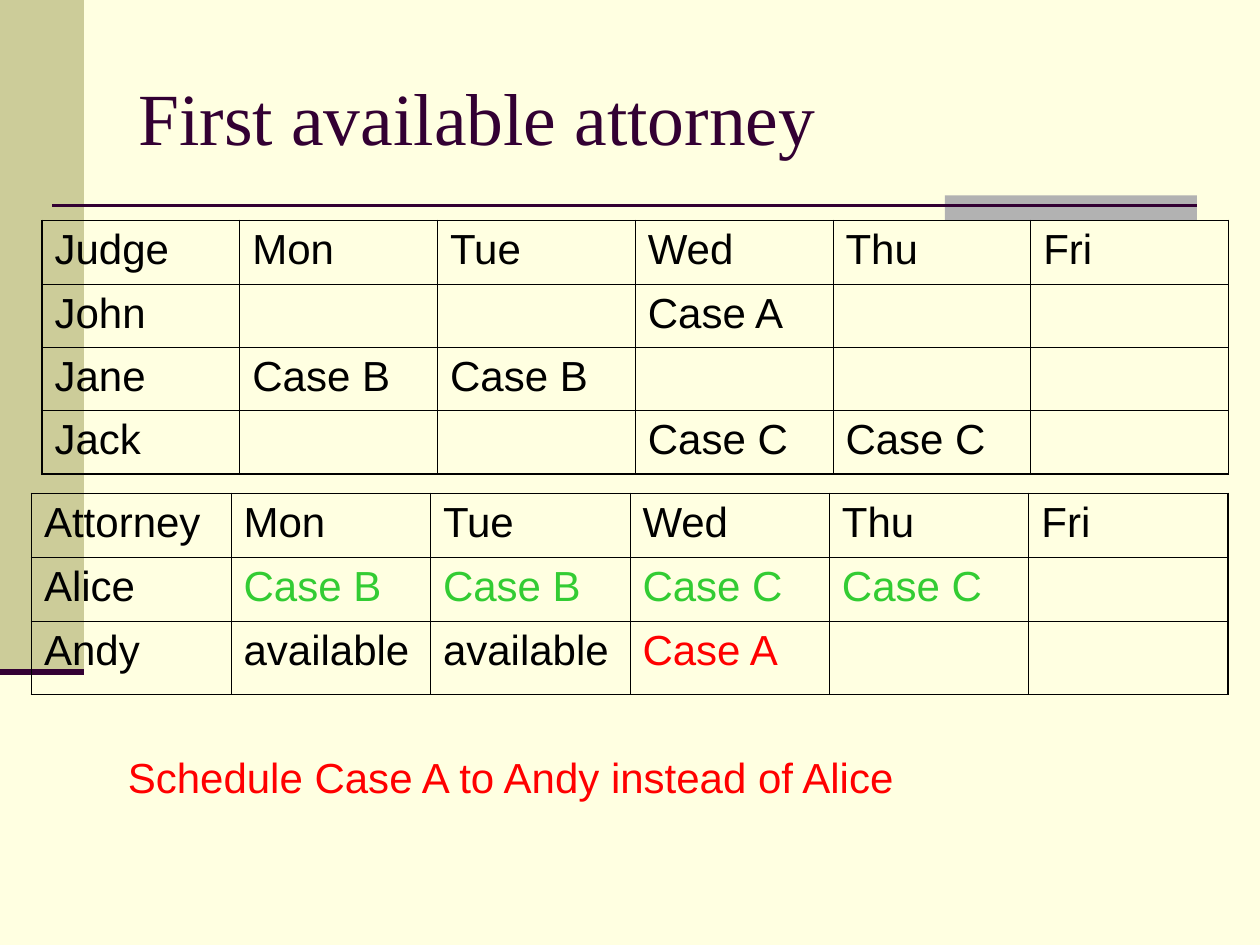
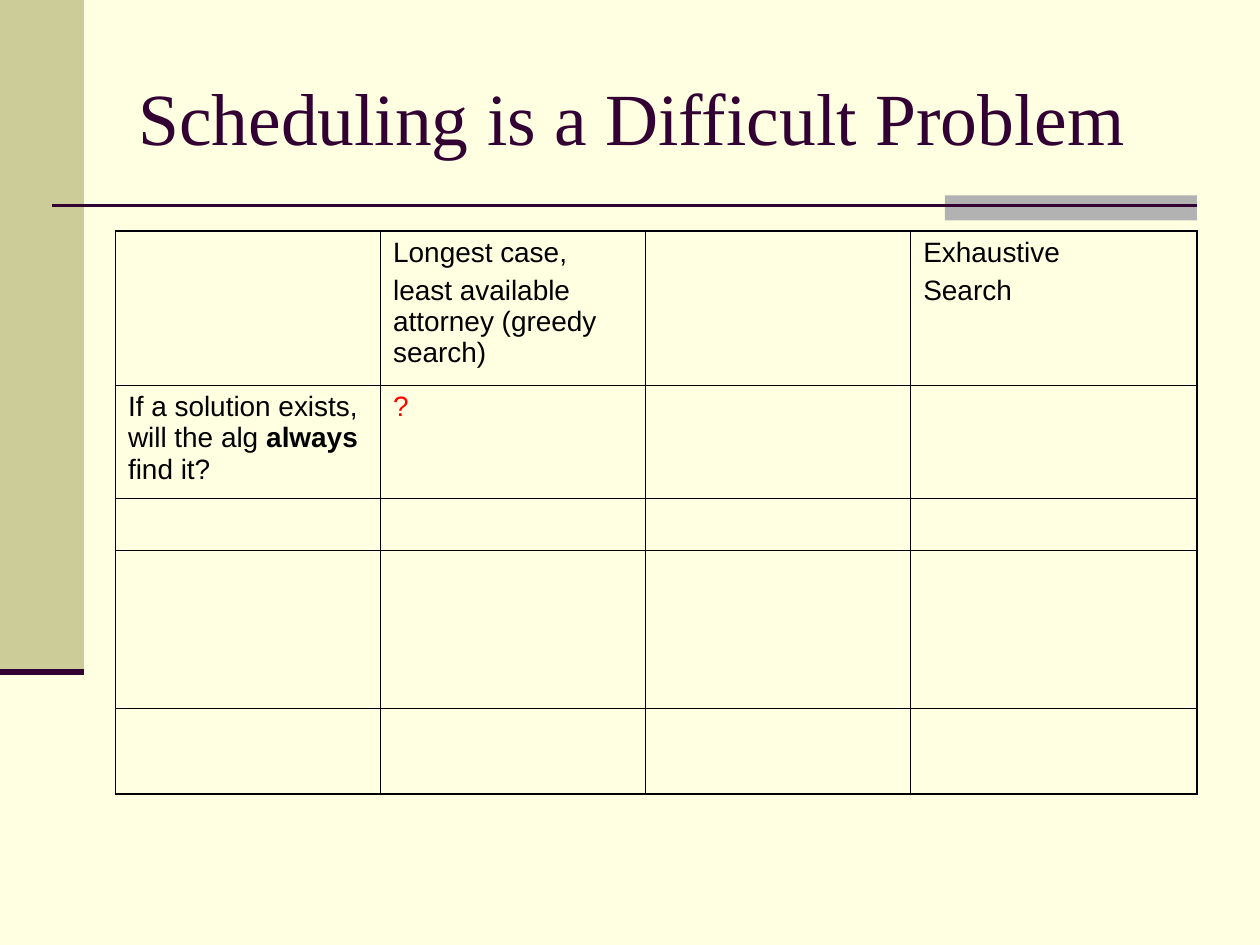
from dataclasses import dataclass

from lxml import etree
from pptx import Presentation
from pptx import util as u
from pptx.dml.color import RGBColor
from pptx.enum import shapes, text
from pptx.oxml import ns


@dataclass(frozen=True)
class Theme:
    background: str = "FFFFE1"
    side_band: str = "CCCC99"
    tab: str = "B2B2B2"
    accent: str = "330033"
    body: str = "000000"
    booked: str = "33CC33"
    alert: str = "FF0000"
    title_font: str = "Times New Roman"
    body_font: str = "Arial"
    title_size: int = 42
    schedule_size: int = 24
    comparison_size: int = 16
    outer_border: float = 1.08
    inner_border: float = 0.45


theme = Theme()
UNIT = u.Inches(1) // 12  # the 10 x 7.5 inch slide is a grid of 120 x 90 units


def style(paragraph, name, size, colour):
    paragraph.font.name = name
    paragraph.font.size = u.Pt(size)
    paragraph.font.color.rgb = RGBColor.from_string(colour)


def add_grid_table(slide, left, top, column_widths, row_heights, rows, size, highlights):
    """Line breaks in a cell start paragraphs; asterisks enclose bold words."""
    frame = slide.shapes.add_table(
        len(row_heights), len(column_widths), int(left * UNIT), int(top * UNIT),
        int(sum(column_widths) * UNIT), int(sum(row_heights) * UNIT))
    table = frame.table
    table.first_row = table.horz_banding = False
    for column, width in zip(table.columns, column_widths):
        column.width = int(width * UNIT)
    for row, height in zip(table.rows, row_heights):
        row.height = int(height * UNIT)

    last_row, last_column = len(row_heights) - 1, len(column_widths) - 1
    for i, row in enumerate(table.rows):
        for j, cell in enumerate(row.cells):
            # Borders come before the fill in the cell properties
            properties = cell._tc.get_or_add_tcPr()
            edges = {"lnL": j == 0, "lnR": j == last_column,
                     "lnT": i == 0, "lnB": i == last_row}
            for edge, is_outer in edges.items():
                width = theme.outer_border if is_outer else theme.inner_border
                border = etree.SubElement(properties, ns.qn(f"a:{edge}"), w=str(u.Pt(width)))
                fill = etree.SubElement(border, ns.qn("a:solidFill"))
                etree.SubElement(fill, ns.qn("a:srgbClr"), val=theme.body)
            cell.fill.background()

            content = rows[i][j] if i < len(rows) and j < len(rows[i]) else ""
            if not content:
                continue
            for k, line in enumerate(content.split("\n")):
                paragraph = (cell.text_frame.add_paragraph() if k
                             else cell.text_frame.paragraphs[0])
                if k:
                    paragraph.space_before = u.Pt(4)
                style(paragraph, theme.body_font, size, highlights.get(line, theme.body))
                for n, words in enumerate(line.split("*")):
                    run = paragraph.add_run()
                    run.text = words
                    if n % 2:
                        run.font.bold = True


presentation = Presentation()
presentation.slide_width = 120 * UNIT
presentation.slide_height = 90 * UNIT

# Shared frame: background, bands, rules and title
bands = [(0, 0, 8, 64, theme.side_band), (90, 18.6, 24, 2.4, theme.tab)]
rules = [(5, 114, 19.6, 1.5), (0, 8, 64, 3.5)]
slides = []
for title in ("First available attorney", "Scheduling is a Difficult Problem"):
    slide = presentation.slides.add_slide(presentation.slide_layouts[6])
    slides.append(slide)
    slide.background.fill.solid()
    slide.background.fill.fore_color.rgb = RGBColor.from_string(theme.background)
    for *box, colour in bands:
        band = slide.shapes.add_shape(
            shapes.MSO_SHAPE.RECTANGLE, *(int(length * UNIT) for length in box))
        band.shadow.inherit = False
        band.fill.solid()
        band.fill.fore_color.rgb = RGBColor.from_string(colour)
        band.line.fill.background()
    for start, end, height, weight in rules:
        y = int(height * UNIT)
        rule = slide.shapes.add_connector(
            shapes.MSO_CONNECTOR.STRAIGHT, start * UNIT, y, end * UNIT, y)
        rule.line.color.rgb = RGBColor.from_string(theme.accent)
        rule.line.width = u.Pt(weight)
        etree.SubElement(rule._element.spPr, ns.qn("a:effectLst"))
    title_box = slide.shapes.add_textbox(
        12 * UNIT, int(3.6 * UNIT), 102 * UNIT, 15 * UNIT).text_frame
    title_box.word_wrap = True
    title_box.vertical_anchor = text.MSO_ANCHOR.MIDDLE
    title_box.text = title
    style(title_box.paragraphs[0], theme.title_font, theme.title_size, theme.accent)

attorney_slide, comparison_slide = slides

# Judge and attorney schedules
days = ["Mon", "Tue", "Wed", "Thu", "Fri"]
judges = [
    ["Judge", *days],
    ["John", "", "", "Case A"],
    ["Jane", "Case B", "Case B"],
    ["Jack", "", "", "Case C", "Case C"],
]
attorneys = [
    ["Attorney", *days],
    ["Alice", "Case B", "Case B", "Case C", "Case C"],
    ["Andy", "available", "available", "Case A"],
]
assignments = {"Case A": theme.alert, "Case B": theme.booked, "Case C": theme.booked}
add_grid_table(attorney_slide, 4, 21, [113 / 6] * 6, [6.04] * 4,
               judges, theme.schedule_size, {})
add_grid_table(attorney_slide, 3, 47, [19] * 6, [6.04, 6.12, 7],
               attorneys, theme.schedule_size, assignments)

# Conclusion below the schedules
conclusion = attorney_slide.shapes.add_textbox(
    11 * UNIT, 71 * UNIT, 90 * UNIT, 6 * UNIT).text_frame
conclusion.word_wrap = True
conclusion.text = "Schedule Case A to Andy instead of Alice"
style(conclusion.paragraphs[0], theme.body_font, theme.schedule_size, theme.alert)

# Comparison of search methods
comparison = [
    ["", "Longest case,\nleast available attorney (greedy search)", "", "Exhaustive\nSearch"],
    ["If a solution exists, will the alg *always* find it?", "?"],
]
add_grid_table(comparison_slide, 11, 22, [25.25, 25.25, 25.25, 27.25],
               [14.7, 10.8, 4.9, 15.1, 8.1],
               comparison, theme.comparison_size, {"?": theme.alert})

presentation.save("out.pptx")
